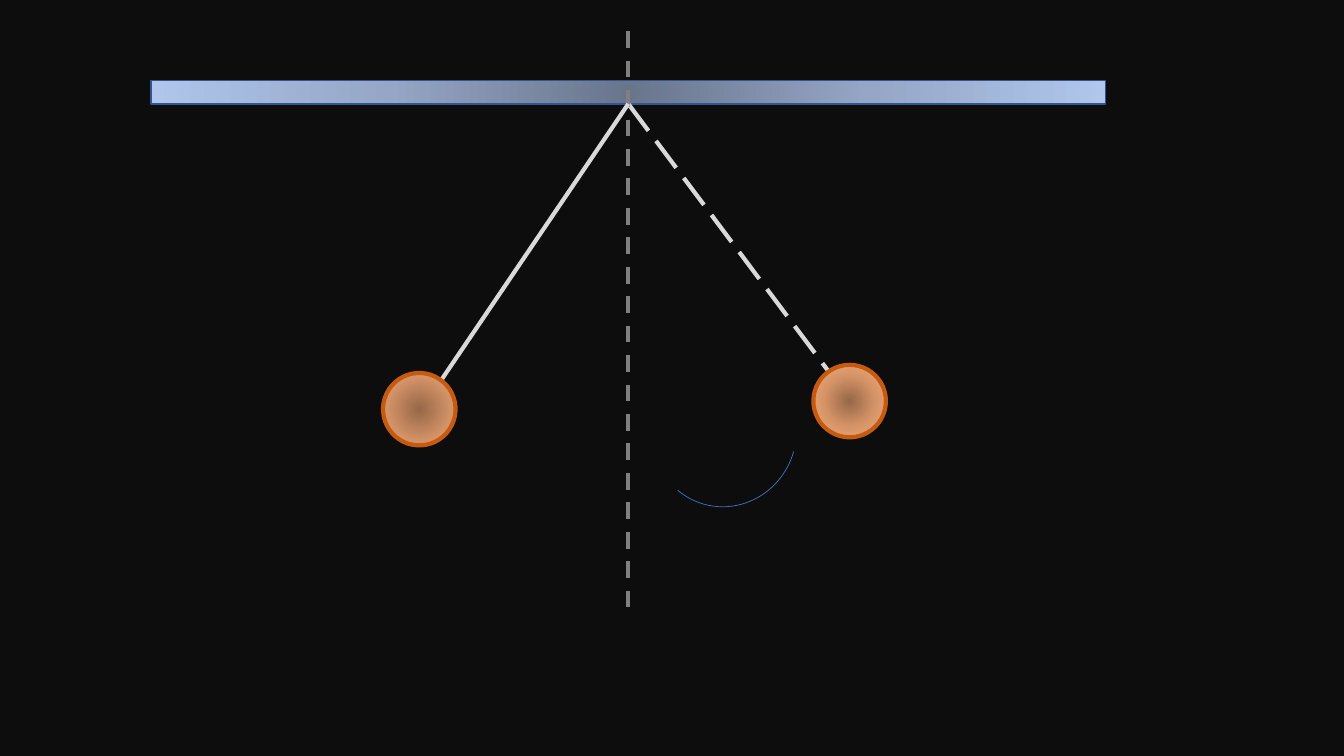
import pptx
import pptx.util
import pptx.oxml
from pptx.dml.color import RGBColor
from pptx.enum.dml import MSO_LINE
from pptx.enum.shapes import MSO_CONNECTOR, MSO_SHAPE
from pptx.oxml.ns import nsdecls, qn

Pt = pptx.util.Pt

COLORS = {
    "background": "0D0D0D",
    "beam_line": "325491",
    "string": "D9D9D9",
    "axis": "808080",
    "ball_line": "C55A11",
    "arc": "4472C4",
}
BEAM_STOPS = ["68758B", "95A6C6", "B0C6EB"]
BALL_STOPS = ["966849", "D59468", "FDAF7B"]
PIVOT = (448.8, 74.2)
BALL_SIZE = 51.8


def set_line(line, color, width, dash=None):
    line.color.rgb = RGBColor.from_string(COLORS[color])
    line.width = Pt(width)
    if dash is not None:
        line.dash_style = dash


def set_radial_fill(sp, stops):
    """Fill a shape from its centre outwards with evenly spaced stops."""
    sp.fill.gradient()
    step = 100000 // (len(stops) - 1)
    gs = "".join(f'<a:gs pos="{i * step}"><a:srgbClr val="{c}"/></a:gs>'
                 for i, c in enumerate(stops))
    grad = pptx.oxml.parse_xml(
        f'<a:gradFill {nsdecls("a")} rotWithShape="1"><a:gsLst>{gs}</a:gsLst>'
        '<a:path path="circle"><a:fillToRect l="50000" t="50000" '
        'r="50000" b="50000"/></a:path></a:gradFill>')
    spPr = sp._element.spPr
    spPr.replace(spPr.find(qn("a:gradFill")), grad)


def add_outline_shape(shapes, kind, box, color, width, stops=None, rotation=0):
    sp = shapes.add_shape(kind, *(Pt(v) for v in box))
    sp.shadow.inherit = False
    sp.rotation = rotation
    if stops:
        set_radial_fill(sp, stops)
    else:
        sp.fill.background()
    set_line(sp.line, color, width)
    return sp


def add_line(shapes, start, end, color, dash=None):
    cn = shapes.add_connector(MSO_CONNECTOR.STRAIGHT,
                              *(Pt(v) for v in (*start, *end)))
    set_line(cn.line, color, 3, dash)
    cn._element.spPr.append(
        pptx.oxml.parse_xml(f'<a:effectLst {nsdecls("a")}/>'))


def add_ball(shapes, left, top, rotation=0):
    add_outline_shape(shapes, MSO_SHAPE.OVAL, (left, top, BALL_SIZE, BALL_SIZE),
                      "ball_line", 3, BALL_STOPS, rotation)


def main():
    prs = pptx.Presentation()
    prs.slide_width, prs.slide_height = Pt(960), Pt(540)
    s = prs.slides.add_slide(prs.slide_layouts[6])
    bg = s.background.fill
    bg.solid()
    bg.fore_color.rgb = RGBColor.from_string(COLORS["background"])

    # Supporting beam
    add_outline_shape(s.shapes, MSO_SHAPE.RECTANGLE, (108, 57.6, 681.8, 16.6),
                      "beam_line", 1, BEAM_STOPS)

    # Far position of the swing
    add_line(s.shapes, PIVOT, (595.4, 270), "string", MSO_LINE.LONG_DASH)
    add_ball(s.shapes, 581, 260.6)

    # Vertical axis
    add_line(s.shapes, (PIVOT[0], 22.3), (PIVOT[0], 433.4), "axis",
             MSO_LINE.DASH)

    # Pendulum
    pendulum = s.shapes.add_group_shape()
    add_line(pendulum.shapes, PIVOT, (311.8, 276.5), "string")
    add_ball(pendulum.shapes, 273.6, 266.4, rotation=71)

    # Swing arc
    arc = add_outline_shape(s.shapes, MSO_SHAPE.ARC, (463.7, 257, 107.3, 103),
                            "arc", 0.5, rotation=105.8)
    arc.adjustments[0] = 162
    arc.adjustments[1] = 13.6

    prs.save("out.pptx")


if __name__ == "__main__":
    main()
